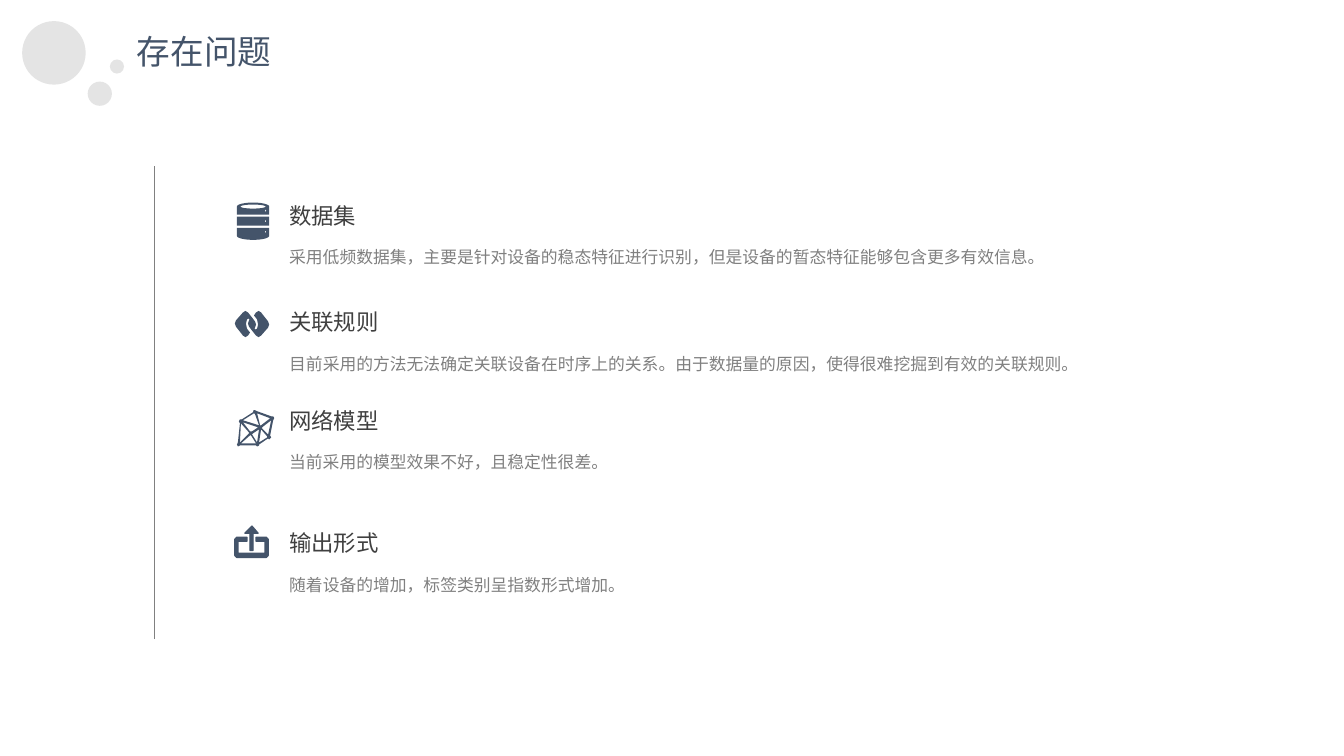
from math import cos, pi, sin

from lxml.etree import SubElement
from pptx import Presentation
from pptx.dml.color import RGBColor
from pptx.enum.shapes import MSO_CONNECTOR, MSO_SHAPE
from pptx.enum.text import MSO_AUTO_SIZE
from pptx.oxml.ns import qn
from pptx.util import Inches, Pt

COLORS = {"navy": "44546A", "heading": "404040", "gray": "808080", "bubble": "D9D9D9"}
FONT = "Noto Sans CJK SC"

prs = Presentation()
prs.slide_width, prs.slide_height = Inches(13.33), Inches(7.5)
slide = prs.slides.add_slide(prs.slide_layouts[6])


def add_text(text, left, top, width, height, size, color, wrap=False, spacing=None):
    frame = slide.shapes.add_textbox(
        Inches(left), Inches(top), Inches(width), Inches(height)).text_frame
    frame.text = text
    frame.word_wrap = wrap
    frame.auto_size = MSO_AUTO_SIZE.SHAPE_TO_FIT_TEXT
    paragraph = frame.paragraphs[0]
    paragraph.line_spacing = spacing
    font = paragraph.runs[0].font
    font.size = Pt(size)
    font.name = FONT
    font.color.rgb = RGBColor.from_string(COLORS[color])
    SubElement(paragraph.runs[0]._r.rPr, qn("a:ea")).set("typeface", FONT)


def arc(cx, cy, rx, ry, start=0, end=2 * pi, steps=24):
    """Points along an ellipse, clockwise on the slide."""
    angles = [start + (end - start) * i / steps for i in range(steps + 1)]
    return [(cx + rx * cos(a), cy + ry * sin(a)) for a in angles]


# Title with bubbles
for left, top, size in [(0.22, 0.21, 0.63), (0.87, 0.81, 0.24), (1.09, 0.59, 0.14)]:
    bubble = slide.shapes.add_shape(
        MSO_SHAPE.FLOWCHART_CONNECTOR, Inches(left), Inches(top), Inches(size), Inches(size))
    bubble.shadow.inherit = False
    bubble.line.fill.background()
    bubble.fill.solid()
    bubble.fill.fore_color.rgb = RGBColor.from_string(COLORS["bubble"])
    tint = bubble._element.spPr.find(qn("a:solidFill"))[0]
    SubElement(tint, qn("a:alpha")).set("val", "70000")
add_text("存在问题", 1.26, 0.26, 1.55, 0.5, 24, "navy")

# Vertical rule
rule = slide.shapes.add_connector(
    MSO_CONNECTOR.STRAIGHT, Inches(1.53), Inches(6.34), Inches(1.53), Inches(1.65))
rule.line.color.rgb = RGBColor.from_string(COLORS["gray"])
rule.line.width = Pt(0.5)
SubElement(rule._element.spPr, qn("a:effectLst"))

# Problems: heading, its top and width, detail, its top and width
problems = [
    ("数据集", 1.96, 0.88,
     "采用低频数据集，主要是针对设备的稳态特征进行识别，但是设备的暂态特征能够包含更多有效信息。", 2.3, 9.2),
    ("关联规则", 3.01, 1.1,
     "目前采用的方法无法确定关联设备在时序上的关系。由于数据量的原因，使得很难挖掘到有效的关联规则。", 3.36, 8.08),
    ("网络模型", 3.99, 1.1, "当前采用的模型效果不好，且稳定性很差。", 4.33, 5.3),
    ("输出形式", 5.2, 1.1, "随着设备的增加，标签类别呈指数形式增加。", 5.55, 5.38),
]
for heading, heading_top, heading_width, detail, detail_top, detail_width in problems:
    add_text(detail, 2.77, detail_top, detail_width, 0.37, 12, "gray", True, 1.5)
    add_text(heading, 2.77, heading_top, heading_width, 0.37, 16, "heading")

# Icon outlines: inner contours become holes
database = [
    arc(2.51, 2.05, 0.16, 0.04, pi, 2 * pi) + [(2.67, 2.13), (2.35, 2.13)],
    arc(2.51, 2.05, 0.125, 0.02),
    [(2.35, 2.15), (2.67, 2.15), (2.67, 2.24), (2.35, 2.24)],
    [(2.35, 2.26), (2.67, 2.26)] + arc(2.51, 2.34, 0.16, 0.04, 0, pi),
]
database += [arc(2.635, y, 0.006, 0.01) for y in (2.09, 2.195, 2.3)]

link_half = [
    (2.565, 3.345), (2.59, 3.33), (2.66, 3.25), (2.67, 3.22), (2.66, 3.19), (2.59, 3.1),
    (2.565, 3.085), (2.54, 3.1), (2.52, 3.13), (2.55, 3.17), (2.56, 3.22), (2.55, 3.26),
    (2.535, 3.27), (2.525, 3.26), (2.53, 3.25), (2.54, 3.22), (2.53, 3.19), (2.5, 3.15),
    (2.46, 3.1),
]
link = [link_half + [(5 - x, 6.43 - y) for x, y in link_half]]

network = [
    [(2.7, 4.13), (2.69, 4.13), (2.55, 4.08), (2.53, 4.07), (2.515, 4.07), (2.51, 4.09),
     (2.4, 4.16), (2.38, 4.16), (2.37, 4.18), (2.38, 4.2), (2.36, 4.39), (2.35, 4.41),
     (2.36, 4.43), (2.38, 4.42), (2.54, 4.42), (2.55, 4.43), (2.57, 4.42), (2.57, 4.41),
     (2.66, 4.35), (2.67, 4.36), (2.69, 4.34), (2.68, 4.32), (2.71, 4.17), (2.72, 4.15),
     (2.715, 4.135)],
    [(2.57, 4.39), (2.59, 4.26), (2.65, 4.33), (2.65, 4.34)],
    [(2.38, 4.39), (2.39, 4.2), (2.47, 4.29), (2.47, 4.3)],
    [(2.68, 4.15), (2.59, 4.22), (2.58, 4.22), (2.55, 4.1)],
    [(2.5, 4.28), (2.48, 4.28), (2.41, 4.19), (2.56, 4.24)],
    [(2.53, 4.11), (2.57, 4.22), (2.41, 4.17), (2.52, 4.1)],
    [(2.51, 4.3), (2.57, 4.26), (2.55, 4.39), (2.5, 4.31)],
    [(2.66, 4.31), (2.6, 4.25), (2.6, 4.24), (2.69, 4.17)],
    [(2.48, 4.32), (2.49, 4.32), (2.54, 4.4), (2.39, 4.4)],
]

export = [
    [(2.35, 5.33), (2.45, 5.33), (2.45, 5.37), (2.36, 5.37), (2.36, 5.49), (2.63, 5.49),
     (2.63, 5.37), (2.54, 5.37), (2.54, 5.33), (2.64, 5.33), (2.66, 5.35), (2.66, 5.51),
     (2.64, 5.53), (2.35, 5.53), (2.33, 5.51), (2.33, 5.35)],
    [(2.5, 5.22), (2.56, 5.29), (2.51, 5.29), (2.51, 5.46), (2.48, 5.46), (2.48, 5.29),
     (2.43, 5.29)],
]

for contours, outline in [(export, 1), (database, 0), (link, 0), (network, 0)]:
    lengths = [[(Inches(x), Inches(y)) for x, y in contour] for contour in contours]
    builder = slide.shapes.build_freeform(*lengths[0][0])
    for number, points in enumerate(lengths):
        if number:
            builder.move_to(*points[0])
        builder.add_line_segments(points[1:], close=True)
    icon = builder.convert_to_shape()
    icon.shadow.inherit = False
    icon.fill.solid()
    icon.fill.fore_color.rgb = RGBColor.from_string(COLORS["navy"])
    if outline:
        icon.line.color.rgb = RGBColor.from_string(COLORS["navy"])
        icon.line.width = Pt(outline)
    else:
        icon.line.fill.background()

prs.save("out.pptx")
